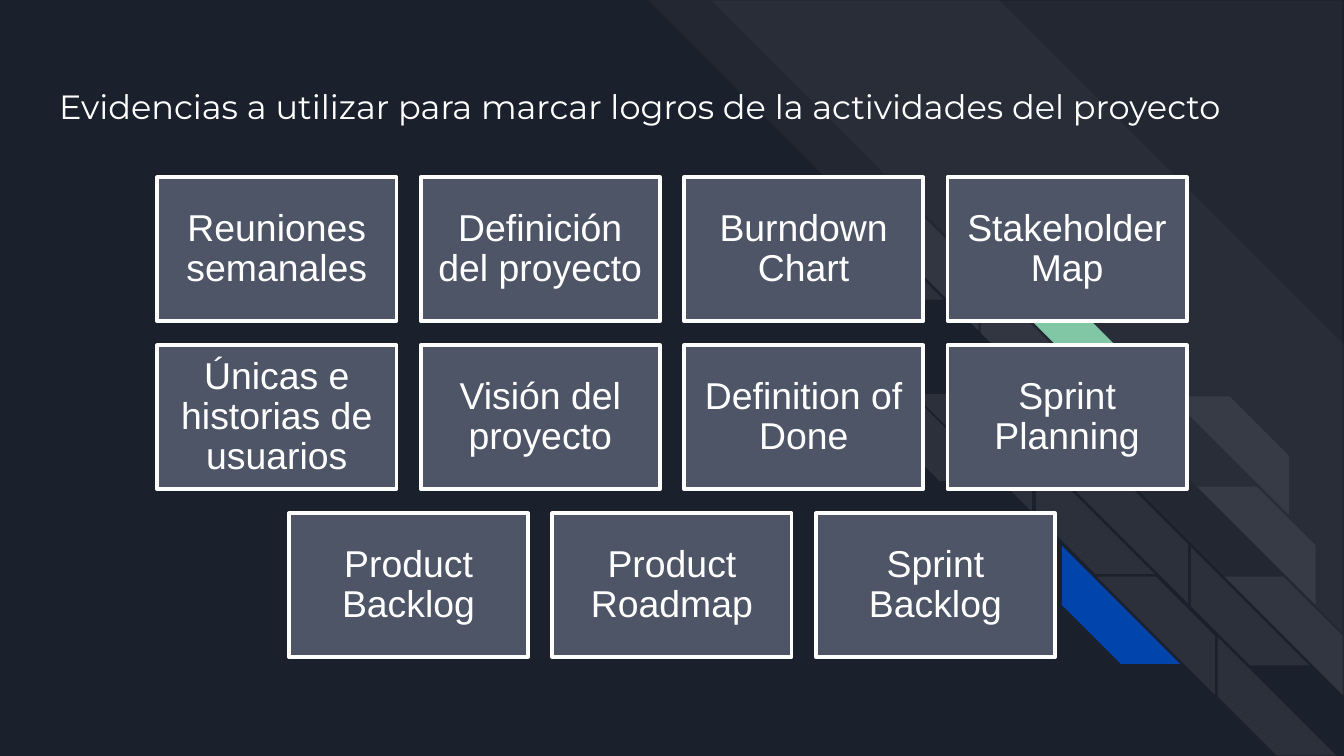
from lxml.etree import SubElement
from pptx import Presentation
from pptx.dml.color import RGBColor
from pptx.enum.shapes import MSO_SHAPE as Shape
from pptx.enum.text import MSO_ANCHOR as Anchor, PP_ALIGN as Align
from pptx.oxml.ns import qn
from pptx.util import Inches, Pt

COLORS = {
    "background": "1B212C",
    "white": "FFFFFF",
    "card": "4E5567",
    "green": "82C7A5",
    "blue": "0145AC",
}

CARD_ROWS = [
    ["Reuniones semanales", "Definición del proyecto", "Burndown Chart", "Stakeholder Map"],
    ["Únicas e historias de usuarios", "Visión del proyecto", "Definition of Done", "Sprint Planning"],
    ["Product Backlog", "Product Roadmap", "Sprint Backlog"],
]
CARD_WIDTH, CARD_HEIGHT, CARD_GAP = 1.78, 1.07, 0.18
CARDS_TOP, CARDS_CENTER = 1.32, 5

LARGE_STRIPES = [
    (4.82, 0, 5.18, 5.18, 0.495),
    (5.29, 0.01, 4.7, 4.69, 0),
]
BAND_SIZE = 0.88
BANDS = [
    (6.14, 1.35, "turned", "white"),
    (6.4, 1.58, "flipped", "white"),
    (6.55, 2.7, "turned", "white"),
    (6.8, 2.93, "flipped", "white"),
    (7.3, 2.04, "turned", "white"),
    (7.55, 2.26, "flipped", "green"),
    (8.71, 2.95, "flipped", "white"),
    (8.91, 3.62, "flipped", "white"),
    (7.71, 3.39, "turned", "white"),
    (7.96, 3.61, "flipped", "white"),
    (7.9, 4.06, "turned", "blue"),
    (8.16, 4.29, "flipped", "white"),
    (8.86, 4.07, "turned", "white"),
    (9.11, 4.29, "flipped", "white"),
    (9.06, 4.74, "turned", "white"),
]


class SlideBuilder:
    title_font = "Montserrat"
    card_font = "Arial"

    def __init__(self, slide):
        self.slide = slide

    def color(self, name):
        return RGBColor.from_string(COLORS[name])

    def background(self):
        fill = self.slide.background.fill
        fill.solid()
        fill.fore_color.rgb = self.color("background")

    def shape(self, kind, left, top, width, height, color):
        shape = self.slide.shapes.add_shape(
            kind, Inches(left), Inches(top), Inches(width), Inches(height))
        shape.shadow.inherit = False
        shape.fill.solid()
        shape.fill.fore_color.rgb = self.color(color)
        return shape

    def stripe(self, left, top, width, height, adjustment, color, opacity=100, rotation=0, flipped=False):
        shape = self.shape(Shape.DIAGONAL_STRIPE, left, top, width, height, color)
        shape.adjustments[0] = adjustment
        shape.rotation = rotation
        shape.line.fill.background()
        properties = shape._element.spPr
        if flipped:
            properties.find(qn("a:xfrm")).set("flipH", "1")
        if opacity < 100:
            color_element = properties.find(qn("a:solidFill"))[0]
            SubElement(color_element, qn("a:alpha")).set("val", str(opacity * 1000))

    def text(self, shape, text, font, size, inset, align):
        frame = shape.text_frame
        frame.word_wrap = True
        frame.vertical_anchor = Anchor.MIDDLE
        frame.margin_left = frame.margin_right = Inches(inset)
        frame.margin_top = frame.margin_bottom = Inches(inset)
        paragraph = frame.paragraphs[0]
        paragraph.alignment = align
        paragraph.line_spacing = 0.9
        run = paragraph.add_run()
        run.text = text
        run.font.name = font
        run.font.size = Pt(size)
        run.font.color.rgb = self.color("white")

    def title(self, text, left, top, width, height):
        title = self.slide.shapes.title
        title.left, title.top = Inches(left), Inches(top)
        title.width, title.height = Inches(width), Inches(height)
        self.text(title, text, self.title_font, 18, 0.1, Align.LEFT)
        self.slide.shapes._spTree.append(title._element)

    def card(self, text, left, top):
        shape = self.shape(Shape.RECTANGLE, left, top, CARD_WIDTH, CARD_HEIGHT, "card")
        shape.line.color.rgb = self.color("white")
        shape.line.width = Pt(2)
        self.text(shape, text, self.card_font, 20, 0.08, Align.CENTER)


def main():
    presentation = Presentation()
    presentation.slide_width = Inches(10)
    presentation.slide_height = presentation.slide_width * 9 // 16
    builder = SlideBuilder(presentation.slides.add_slide(presentation.slide_layouts[5]))
    builder.background()

    for left, top, width, height, adjustment in LARGE_STRIPES:
        builder.stripe(left, top, width, height, adjustment, "white", opacity=3, rotation=90)
    for left, top, direction, color in BANDS:
        builder.stripe(left, top, BAND_SIZE, BAND_SIZE, 0.5, color,
                       opacity=7 if color == "white" else 100,
                       rotation=270 if direction == "turned" else 0,
                       flipped=direction == "flipped")

    builder.title("Evidencias a utilizar para marcar logros de la actividades del proyecto",
                  0.34, 0.49, 9.32, 0.63)

    for row, labels in enumerate(CARD_ROWS):
        row_width = len(labels) * (CARD_WIDTH + CARD_GAP) - CARD_GAP
        row_left = CARDS_CENTER - row_width / 2
        top = CARDS_TOP + row * (CARD_HEIGHT + CARD_GAP)
        for column, label in enumerate(labels):
            builder.card(label, row_left + column * (CARD_WIDTH + CARD_GAP), top)

    presentation.save("out.pptx")


if __name__ == "__main__":
    main()
